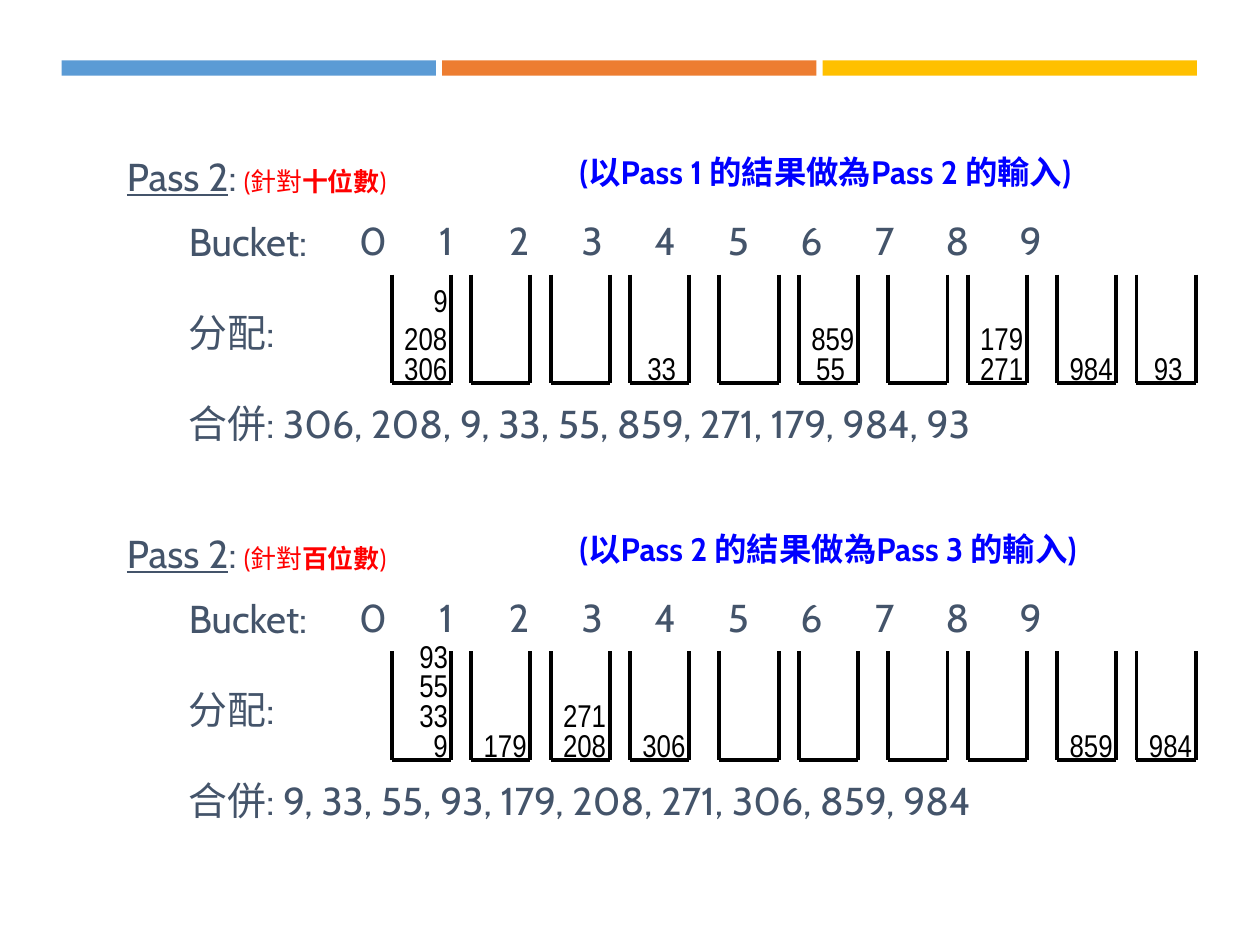
from lxml import etree
from pptx import Presentation
from pptx.dml.color import RGBColor
from pptx.enum.shapes import MSO_CONNECTOR, MSO_SHAPE
from pptx.enum.text import MSO_ANCHOR, PP_ALIGN
from pptx.oxml.ns import qn
from pptx.util import Inches, Pt

STRAIGHT = MSO_CONNECTOR.STRAIGHT
RECTANGLE = MSO_SHAPE.RECTANGLE
TOP = MSO_ANCHOR.TOP
CENTER = PP_ALIGN.CENTER
COLORS = {
    "blue_bar": "5B9BD5", "orange_bar": "ED7D31", "yellow_bar": "FFC000",
    "body": "44546A", "digit_note": "FF0000", "input_note": "0000FF",
    "bucket": "000000",
}


def add_run(paragraph, text, size=22.2, color="body", bold=False,
            underline=False, font="Cabin"):
    run = paragraph.add_run()
    run.text = text
    run.font.size = Pt(size)
    run.font.name = font
    run.font.bold = bold
    run.font.underline = underline
    run.font.color.rgb = RGBColor.from_string(COLORS[color])


def set_layout(paragraph, indent, before, spacing=1.0):
    properties = paragraph._p.get_or_add_pPr()
    properties.set("marL", str(Inches(indent)))
    properties.set("indent", "0")
    paragraph.space_before = Pt(before)
    paragraph.space_after = Pt(6)
    paragraph.line_spacing = spacing


prs = Presentation()
prs.slide_width, prs.slide_height = Inches(10), Inches(7.5)
slide = prs.slides.add_slide(prs.slide_layouts[6])

# Coloured bars across the top
for i, color in enumerate(("blue_bar", "orange_bar", "yellow_bar")):
    bar = slide.shapes.add_shape(RECTANGLE, Inches(0.49 + 3.02 * i),
                                 Inches(0.48), Inches(2.97), Inches(0.12))
    bar.shadow.inherit = False
    bar.fill.solid()
    bar.fill.fore_color.rgb = RGBColor.from_string(COLORS[color])
    bar.line.fill.background()

# Each pass: bucket contents are (value, level above the bottom)
passes = [
    {"digit": "十位數", "note": "(以Pass 1 的結果做為Pass 2 的輸入)",
     "merged": "306, 208, 9, 33, 55, 859, 271, 179, 984, 93",
     "before": 0, "top": 2.18, "pair_shift": 0.08,
     "contents": {0: [("306", 0), ("208", 1), ("9", 2.3)], 3: [("33", 0)],
                  5: [("55", 0), ("859", 1)], 7: [("271", 0), ("179", 1)],
                  8: [("984", 0)], 9: [("93", 0)]}},
    {"digit": "百位數", "note": "(以Pass 2 的結果做為Pass 3 的輸入)",
     "merged": "9, 33, 55, 93, 179, 208, 271, 306, 859, 984",
     "before": 41.4, "top": 5.17, "pair_shift": 0,
     "contents": {0: [("9", 0), ("33", 1), ("55", 2), ("93", 3)],
                  1: [("179", 0)], 2: [("208", 0), ("271", 1)],
                  3: [("306", 0)], 8: [("859", 0)], 9: [("984", 0)]}},
]

# Explanation text
body = slide.shapes.add_textbox(Inches(0.5), Inches(1.16),
                                Inches(9.07), Inches(5.59)).text_frame
body.word_wrap = True
body.vertical_anchor = TOP
for number, step in enumerate(passes):
    heading = body.paragraphs[0] if number == 0 else body.add_paragraph()
    set_layout(heading, 0.41, step["before"])
    add_run(heading, "Pass 2", underline=True)
    add_run(heading, ":")
    add_run(heading, " ", size=18.5)
    add_run(heading, "(針對", size=14.8, color="digit_note")
    add_run(heading, step["digit"], size=14.8, color="digit_note", bold=True)
    add_run(heading, ")", size=14.8, color="digit_note")

    for text, before, spacing in (("Bucket:", 4.4, 1.0),
                                  ("分配:", 8.9, 1.4),
                                  ("合併: " + step["merged"], 8.9, 1.4)):
        line = body.add_paragraph()
        set_layout(line, 0.9, before, spacing)
        add_run(line, text)

# Input notes and bucket numbers
for step in passes:
    note = slide.shapes.add_textbox(Inches(4.5), Inches(step["top"] - 1.02),
                                    Inches(5), Inches(0.45)).text_frame
    note.word_wrap = True
    add_run(note.paragraphs[0], step["note"], size=18.5, color="input_note",
            bold=True)
    for digit in range(10):
        heading = slide.shapes.add_textbox(
            Inches(2.71 + 0.58 * digit), Inches(step["top"] - 0.51),
            Inches(0.5), Inches(0.45)).text_frame
        heading.word_wrap = True
        heading.paragraphs[0].alignment = CENTER
        add_run(heading.paragraphs[0], str(digit))

# Buckets and the numbers in them
BUCKET_WIDTH, BUCKET_HEIGHT = 0.47, 0.86
LABEL_WIDTHS = {1: 0.32, 2: 0.43, 3: 0.55}
bucket_lefts = [3.11 + 0.63 * i + 0.08 * sum(i >= wide for wide in (4, 6, 8))
                for i in range(10)]
for step in passes:
    top, bottom = step["top"], step["top"] + BUCKET_HEIGHT
    bucket_row = slide.shapes.add_group_shape()
    for left in bucket_lefts:
        right = left + BUCKET_WIDTH
        for x1, y1, x2, y2 in ((left, bottom, right, bottom),
                               (left, top, left, bottom),
                               (right, top, right, bottom)):
            side = bucket_row.shapes.add_connector(
                STRAIGHT, Inches(x1), Inches(y1), Inches(x2), Inches(y2))
            side.line.color.rgb = RGBColor.from_string(COLORS["bucket"])
            side.line.width = Pt(2.25)
            etree.SubElement(side._element.spPr, qn("a:effectLst"))

    for index, values in step["contents"].items():
        for value, level in values:
            width = LABEL_WIDTHS[len(value)]
            shift = step["pair_shift"] if len(value) == 2 else 0
            label = slide.shapes.add_textbox(
                Inches(bucket_lefts[index] + 0.55 - width - shift),
                Inches(top + 0.54 - 0.235 * level), Inches(width), Inches(0.4))
            label.text_frame.word_wrap = False
            add_run(label.text_frame.paragraphs[0], value, size=18,
                    color="bucket", font="Arial Narrow")

prs.save("out.pptx")
